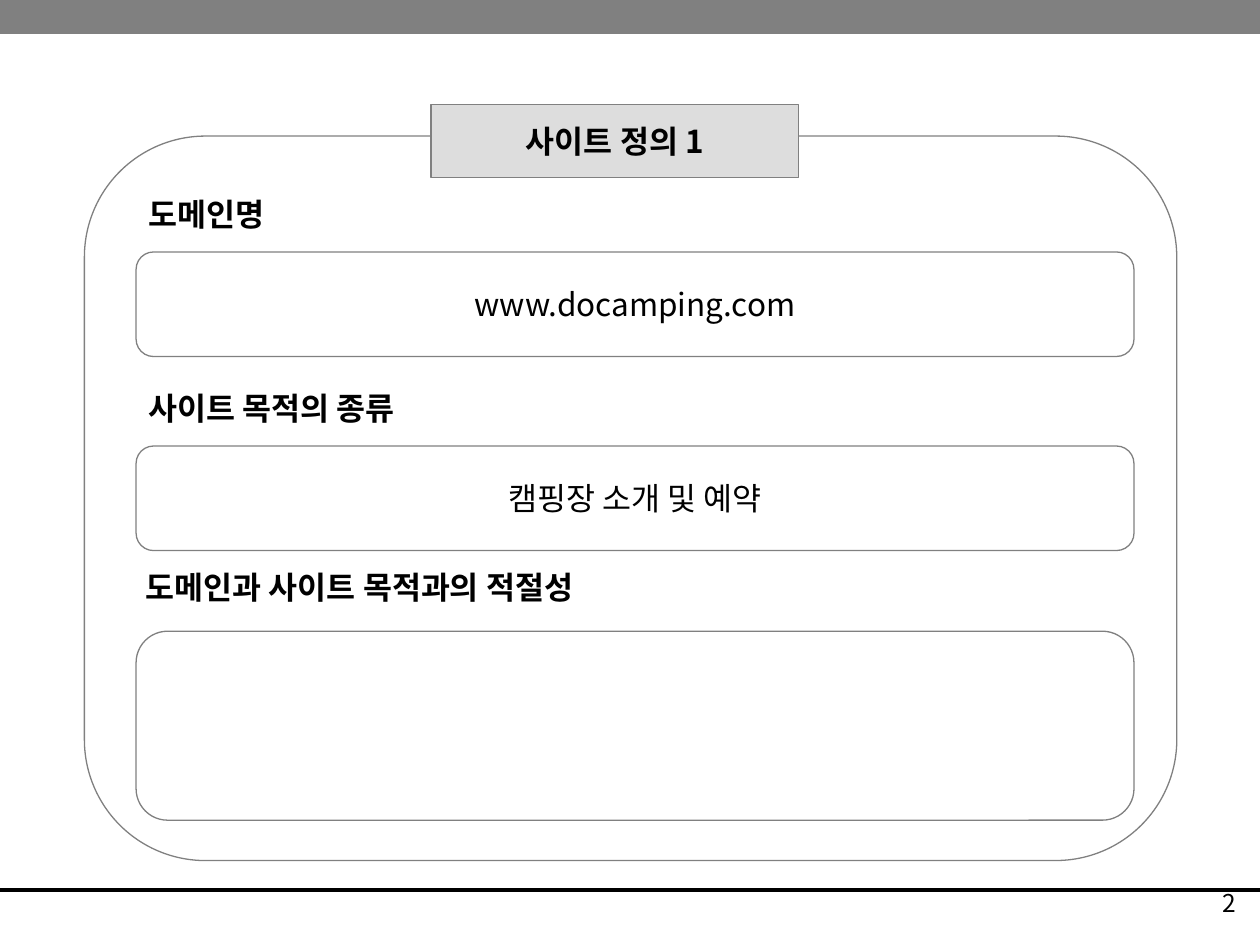
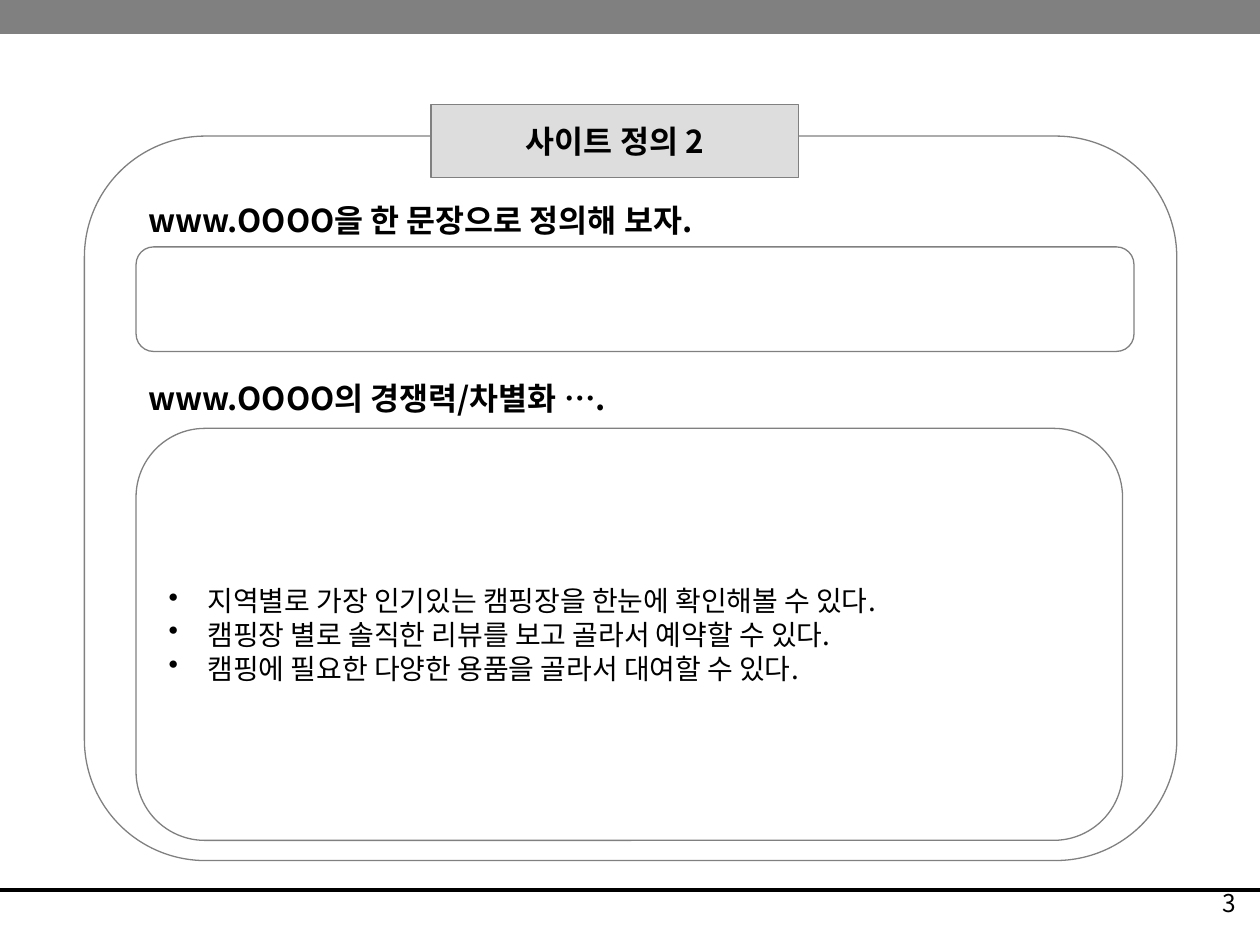
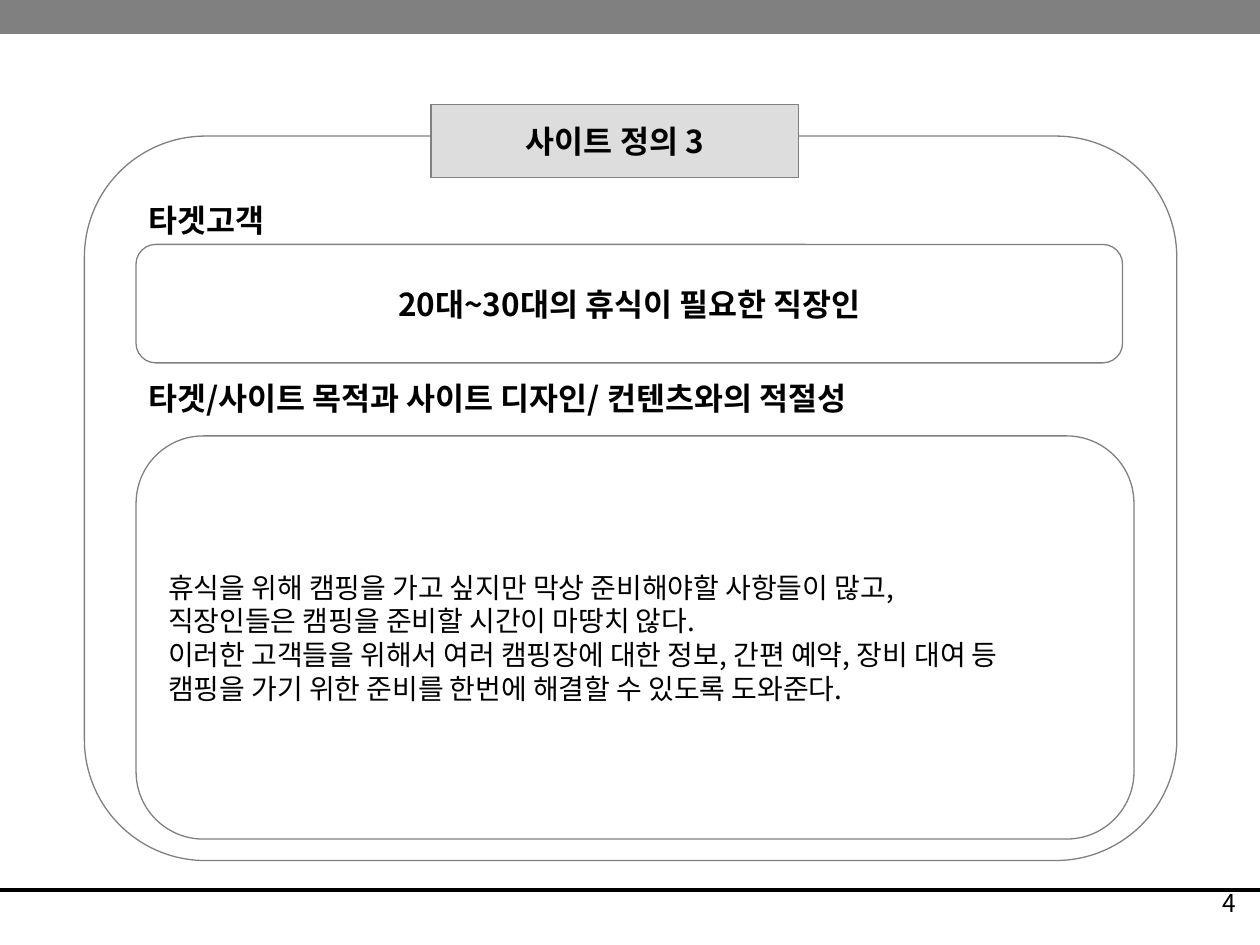
from pptx import Presentation
from pptx.dml.color import RGBColor
from pptx.enum.shapes import MSO_CONNECTOR, MSO_SHAPE
from pptx.enum.text import MSO_ANCHOR, MSO_AUTO_SIZE, PP_ALIGN
from pptx.oxml.xmlchemy import OxmlElement
from pptx.util import Inches, Pt

RECT, ROUND = MSO_SHAPE.RECTANGLE, MSO_SHAPE.ROUNDED_RECTANGLE
LEFT, MID, RIGHT = PP_ALIGN.LEFT, PP_ALIGN.CENTER, PP_ALIGN.RIGHT
FONT, DOTS = "Noto Sans CJK KR", "Times New Roman"
BLACK, GRAY, PALE = "000000", "808080", "DDDDDD"
EDGE = 1.08
FRAME = (0.67, 1.08, 8.67, 5.75)
TAB = (3.42, 0.83, 2.92, 0.58)
HEAD = {"size": 18, "bold": True}
PLAIN = {"size": 18, "align": MID}
BODY = {"size": 16}

# Labels: (text parts, left, top, width)
# Boxes: (top, width, height, lines, format)
SLIDES = [
    {
        "title": "사이트 정의 1",
        "labels": [
            ("도메인명", EDGE, 1.5, 5),
            ("사이트 목적의 종류", EDGE, 3.04, 5),
            ("도메인과 사이트 목적과의 적절성", 1.06, 4.46, 5),
        ],
        "boxes": [
            (2, 7.92, 0.83, ["www.docamping.com"], PLAIN),
            (3.54, 7.92, 0.83, ["캠핑장 소개 및 예약"], PLAIN),
            (5.01, 7.92, 1.5, [], PLAIN),
        ],
    },
    {
        "title": "사이트 정의 2",
        "labels": [
            ("www.OOOO을 한 문장으로 정의해 보자.", EDGE, 1.55, 5),
            ("www.OOOO의 경쟁력/차별화 ….", EDGE, 2.96, 5),
        ],
        "boxes": [
            (1.96, 7.92, 0.83, [], PLAIN),
            (3.4, 7.83, 3.27, [
                "지역별로 가장 인기있는 캠핑장을 한눈에 확인해볼 수 있다.",
                "캠핑장 별로 솔직한 리뷰를 보고 골라서 예약할 수 있다.",
                "캠핑에 필요한 다양한 용품을 골라서 대여할 수 있다.",
            ], {**BODY, "bullet": True}),
        ],
    },
    {
        "title": "사이트 정의 3",
        "labels": [
            ("타겟고객", EDGE, 1.55, 5),
            ("타겟/사이트 목적과 사이트 디자인/ 컨텐츠와의 적절성", EDGE, 2.96, 6.99),
        ],
        "boxes": [
            (1.94, 7.83, 0.94, ["20대~30대의 휴식이 필요한 직장인"],
             {**HEAD, "align": MID}),
            (3.46, 7.92, 3.2, [
                "휴식을 위해 캠핑을 가고 싶지만 막상 준비해야할 사항들이 많고,",
                "직장인들은 캠핑을 준비할 시간이 마땅치 않다.",
                "이러한 고객들을 위해서 여러 캠핑장에 대한 정보, 간편 예약, 장비 대여 등",
                "캠핑을 가기 위한 준비를 한번에 해결할 수 있도록 도와준다.",
            ], BODY),
        ],
    },
]


def color(code):
    return RGBColor.from_string(code)


def inches(area):
    return [Inches(n) for n in area]


def add_run(para, text, size, bold):
    run = para.add_run()
    run.text = text
    look = {"name": DOTS if text == "…" else FONT, "size": Pt(size), "bold": bold}
    for key, value in look.items():
        setattr(run.font, key, value)
    run.font.color.rgb = color(BLACK)
    asian = OxmlElement("a:ea")
    asian.set("typeface", FONT)
    run.font._element.append(asian)


def add_bullet(para):
    props = para._p.get_or_add_pPr()
    props.set("marL", str(Inches(0.31)))
    props.set("indent", str(-Inches(0.31)))
    mark = OxmlElement("a:buChar")
    mark.set("char", "•")
    props.append(mark)


def write(shape, lines, size, bold=False, align=LEFT, bullet=False,
          anchor=MSO_ANCHOR.MIDDLE):
    frame = shape.text_frame
    look = {"word_wrap": True, "auto_size": MSO_AUTO_SIZE.NONE,
            "vertical_anchor": anchor}
    for key, value in look.items():
        setattr(frame, key, value)
    for i, line in enumerate(lines):
        para = frame.add_paragraph() if i else frame.paragraphs[0]
        para.alignment = align
        if bullet:
            add_bullet(para)
        head, dots, tail = line.partition("…")
        for part in filter(None, (head, dots, tail)):
            add_run(para, part, size, bold)


def paint(shape, fill=None, line=GRAY):
    if fill:
        shape.fill.solid()
        shape.fill.fore_color.rgb = color(fill)
    else:
        shape.fill.background()
    if line:
        shape.line.color.rgb = color(line)
        shape.line.width = Pt(0.75)
    else:
        shape.line.fill.background()


def add_box(slide, kind, area, fill=None, line=GRAY):
    box = slide.shapes.add_shape(kind, *inches(area))
    box.shadow.inherit = False
    paint(box, fill, line)
    if kind == ROUND:
        box.adjustments[0] = 0.167
    return box


def add_text(slide, area, text, **form):
    box = slide.shapes.add_textbox(*inches(area))
    write(box, [text], anchor=MSO_ANCHOR.TOP, **form)


def add_base(slide, number):
    """Draw the top band, the foot rule, the page number and the frame."""
    rule = slide.shapes.add_connector(
        MSO_CONNECTOR.STRAIGHT, *inches((0, 7.06, 10, 7.06)))
    rule.line.color.rgb = color(BLACK)
    rule.line.width = Pt(2.25)
    rule._element.spPr.append(OxmlElement("a:effectLst"))
    add_box(slide, RECT, (0, 0, 10, 0.27), GRAY, None)
    add_text(slide, (7.83, 7, 2.08, 0.5), str(number), size=14, align=RIGHT)
    add_box(slide, ROUND, FRAME)


def set_title(slide, text):
    """Turn the title into a tab that lies over the frame."""
    title = slide.shapes.title
    for key, value in zip(("left", "top", "width", "height"), inches(TAB)):
        setattr(title, key, value)
    paint(title, PALE)
    write(title, [text], align=MID, **HEAD)
    title._element.getparent().append(title._element)


def main():
    deck = Presentation()
    deck.slide_width, deck.slide_height = Inches(10), Inches(7.5)
    for number, data in enumerate(SLIDES, 2):
        slide = deck.slides.add_slide(deck.slide_layouts[5])
        add_base(slide, number)
        for top, width, height, lines, form in data["boxes"]:
            box = add_box(slide, ROUND, (EDGE, top, width, height))
            write(box, lines, **form)
        for text, left, top, width in data["labels"]:
            add_text(slide, (left, top, width, 0.4), text, **HEAD)
        set_title(slide, data["title"])
    deck.save("out.pptx")


if __name__ == "__main__":
    main()
